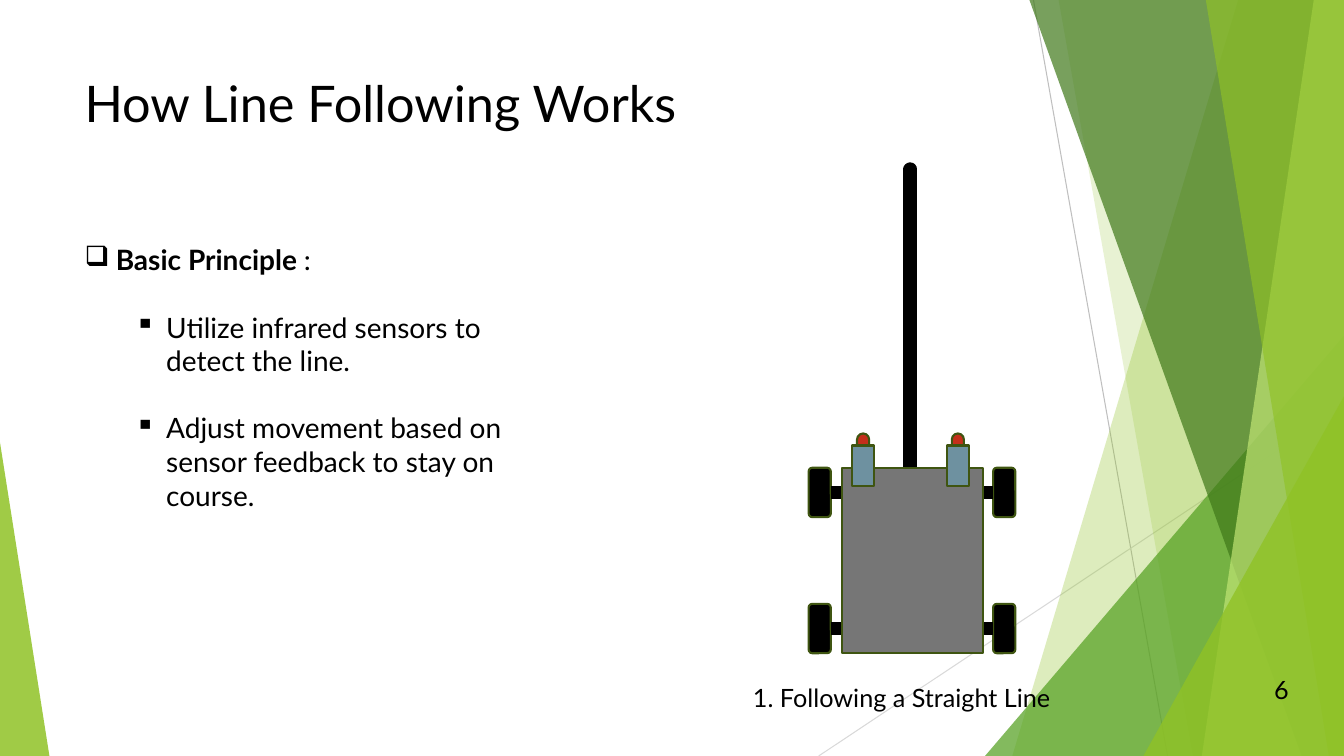
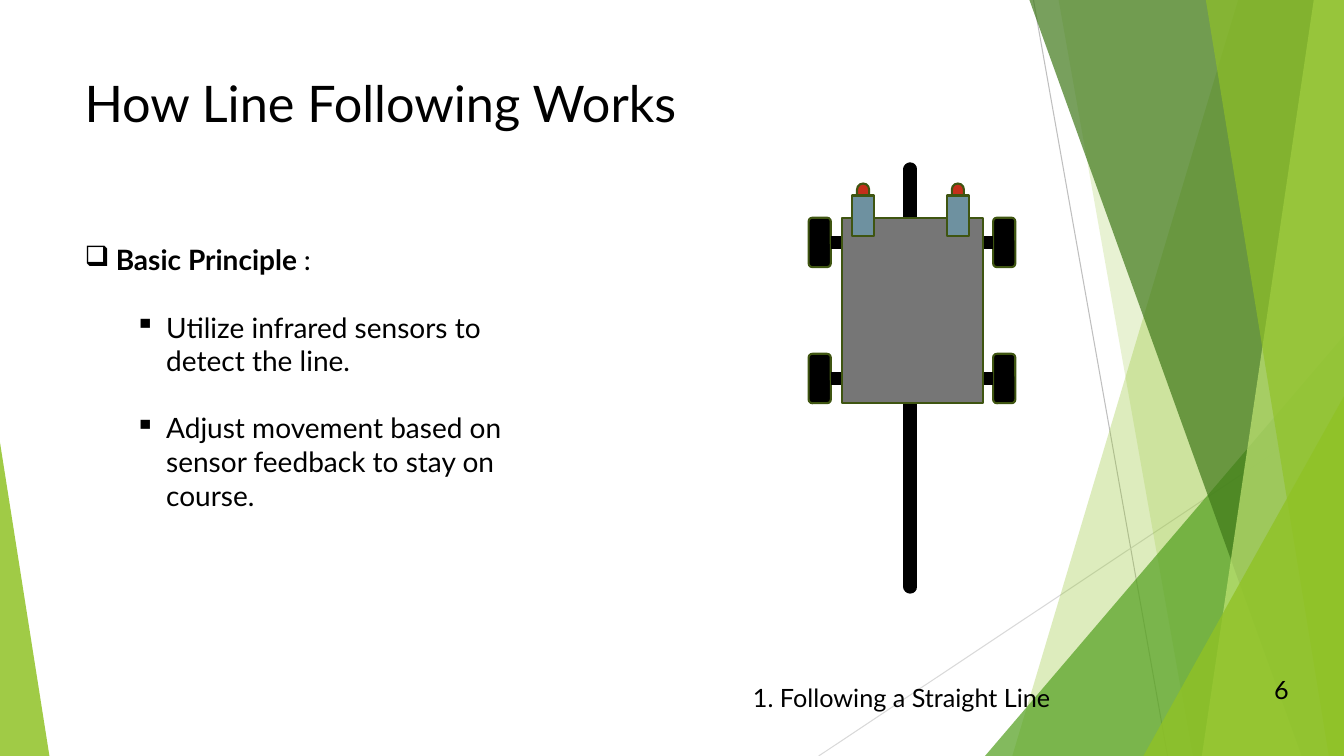
import pptx
import pptx.util
import pptx.dml.color
import pptx.enum.shapes
import pptx.enum.text
import pptx.oxml.ns
import lxml.etree

Inches = pptx.util.Inches
Pt = pptx.util.Pt
SHAPE = pptx.enum.shapes.MSO_SHAPE
STRAIGHT = pptx.enum.shapes.MSO_CONNECTOR.STRAIGHT
ALIGN = pptx.enum.text.PP_ALIGN
RGB = pptx.dml.color.RGBColor.from_string
qn = pptx.oxml.ns.qn

W, H = 13.33, 7.5
FONT = "Lato"
COLORS = {
    "black": "000000", "lime": "90C226", "green": "54A021",
    "forest": "3F7819", "pale": "C0E474", "outline": "3F5511",
    "body": "767676", "sensor": "6E91A0", "led": "C42F1A",
    "gray": "BFBFBF", "light_gray": "D9D9D9",
}

# Facets, back to front: (outline points or triangle box, apex), colour, opacity
FACETS = [
    ([(12.28, 0), (W, 0), (W, H), (10.04, H)], None, "lime", 30),
    ([(10.5, 0), (W, 0), (W, H), (11.83, H)], None, "lime", 20),
    ((9.77, 3.33, 3.56, 4.17), 1, "green", 72),
    ([(10.21, 0), (W, 0), (W, H), (12.91, H)], None, "forest", 70),
    ([(13.03, 0), (W, 0), (W, H), (11.92, H)], None, "pale", 70),
    ([(11.96, 0), (W, 0), (W, H), (13.18, H)], None, "lime", 65),
    ((11.34, 3.93, 1.99, 3.57), 1, "lime", 80),
    ((0, 4.39, 0.49, 3.11), 0, "lime", 85),
]
HAIRLINES = [
    ((10.25, 0, 11.58, H), "gray"),
    ((W, 4.03, 8.12, H), "light_gray"),
]
PRINCIPLE = [
    dict(runs=[("Basic Principle ", True), (":", False)], bullet="❑", left=0.31),
    dict(runs=[("Utilize infrared sensors to detect the line.", False)],
         bullet="▪", left=0.81, before=24),
    dict(runs=[("Adjust movement based on sensor feedback to stay on course.", False)],
         bullet="▪", left=0.81, before=24),
]
CAR_TOPS = [4.64, 2.16]


def paint(sp, fill=None, line=None, width=1.5, alpha=None):
    """Colour a shape or connector and remove its shadow."""
    if fill:
        sp.fill.solid()
        sp.fill.fore_color.rgb = RGB(COLORS[fill])
    if alpha:
        clr = sp._element.spPr.find(qn("a:solidFill")).find(qn("a:srgbClr"))
        lxml.etree.SubElement(clr, qn("a:alpha")).set("val", str(alpha * 1000))
    if line:
        sp.line.color.rgb = RGB(COLORS[line])
        sp.line.width = Pt(width)
    else:
        sp.line.fill.background()
    lxml.etree.SubElement(sp._element.spPr, qn("a:effectLst"))


def add_text(slide, at, text, size=18, align=ALIGN.LEFT):
    """Add a text box; text is a string or a list of paragraph dicts."""
    tf = slide.shapes.add_textbox(*map(Inches, at)).text_frame
    tf.word_wrap = True
    paragraphs = [dict(runs=[(text, False)])] if isinstance(text, str) else text
    for i, para in enumerate(paragraphs):
        p = tf.add_paragraph() if i else tf.paragraphs[0]
        p.alignment = align
        p.space_before = Pt(para.get("before", 0))
        if "bullet" in para:
            pPr = p._p.get_or_add_pPr()
            pPr.set("marL", str(Inches(para["left"])))
            pPr.set("indent", str(Inches(-0.31)))
            lxml.etree.SubElement(pPr, qn("a:buChar")).set("char", para["bullet"])
        for content, bold in para["runs"]:
            r = p.add_run()
            r.text = content
            r.font.name = FONT
            r.font.size = Pt(size)
            r.font.bold = bold
            r.font.color.rgb = RGB(COLORS["black"])


prs = pptx.Presentation()
prs.slide_width = Inches(W)
prs.slide_height = Inches(H)

for top in CAR_TOPS:
    s = prs.slides.add_slide(prs.slide_layouts[6])

    # Background decoration
    for ends, color in HAIRLINES:
        paint(s.shapes.add_connector(STRAIGHT, *map(Inches, ends)), line=color, width=0.75)
    for geometry, apex, color, alpha in FACETS:
        if apex is None:
            points = [(Inches(x), Inches(y)) for x, y in geometry]
            builder = s.shapes.build_freeform(*points[0])
            builder.add_line_segments(points[1:], close=True)
            sp = builder.convert_to_shape()
        else:
            sp = s.shapes.add_shape(SHAPE.ISOSCELES_TRIANGLE, *map(Inches, geometry))
            sp.adjustments[0] = apex
        paint(sp, fill=color, alpha=alpha)

    # Title and bullets
    add_text(s, (0.74, 0.67, 9.4, 1.44), "How Line Following Works", size=36)
    add_text(s, (0.74, 2.36, 4.83, 4.24), PRINCIPLE, size=20)

    # Track with round ends
    track = s.shapes.add_connector(STRAIGHT, *map(Inches, (9.03, 1.68, 9.03, 5.82)))
    paint(track, line="black", width=10)
    track.line._get_or_add_ln().set("cap", "rnd")

    # Car: wheels with axles, then body, then sensors
    car = s.shapes.add_group_shape().shapes
    for wheel_left, side, axle_end in ((9.85, 1, 9.73), (8.02, 3, 8.36)):
        for wheel_top in (top, top + 1.35):
            wheel = car.add_shape(SHAPE.ROUNDED_RECTANGLE,
                                  *map(Inches, (wheel_left, wheel_top, 0.22, 0.49)))
            paint(wheel, fill="black", line="outline")
            axle_y = wheel.top + wheel.height // 2
            axle = car.add_connector(STRAIGHT, wheel.left, axle_y, Inches(axle_end), axle_y)
            axle.begin_connect(wheel, side)
            paint(axle, line="black", width=8.75)
    body = car.add_shape(SHAPE.RECTANGLE, *map(Inches, (8.35, top, 1.4, 1.84)))
    paint(body, fill="body", line="outline")
    for left in (8.45, 9.39):
        led = car.add_shape(SHAPE.FLOWCHART_DELAY,
                            *map(Inches, (left + 0.05, top - 0.34, 0.12, 0.12)))
        led.rotation = 270
        paint(led, fill="led", line="outline")
        sensor = car.add_shape(SHAPE.RECTANGLE, *map(Inches, (left, top - 0.22, 0.22, 0.4)))
        paint(sensor, fill="sensor", line="outline")

    # Caption and page number
    add_text(s, (7.37, 6.72, 3.33, 0.4), "1. Following a Straight Line")
    add_text(s, (12.46, 6.64, 0.5, 0.4), "6", align=ALIGN.CENTER)

prs.save("out.pptx")
